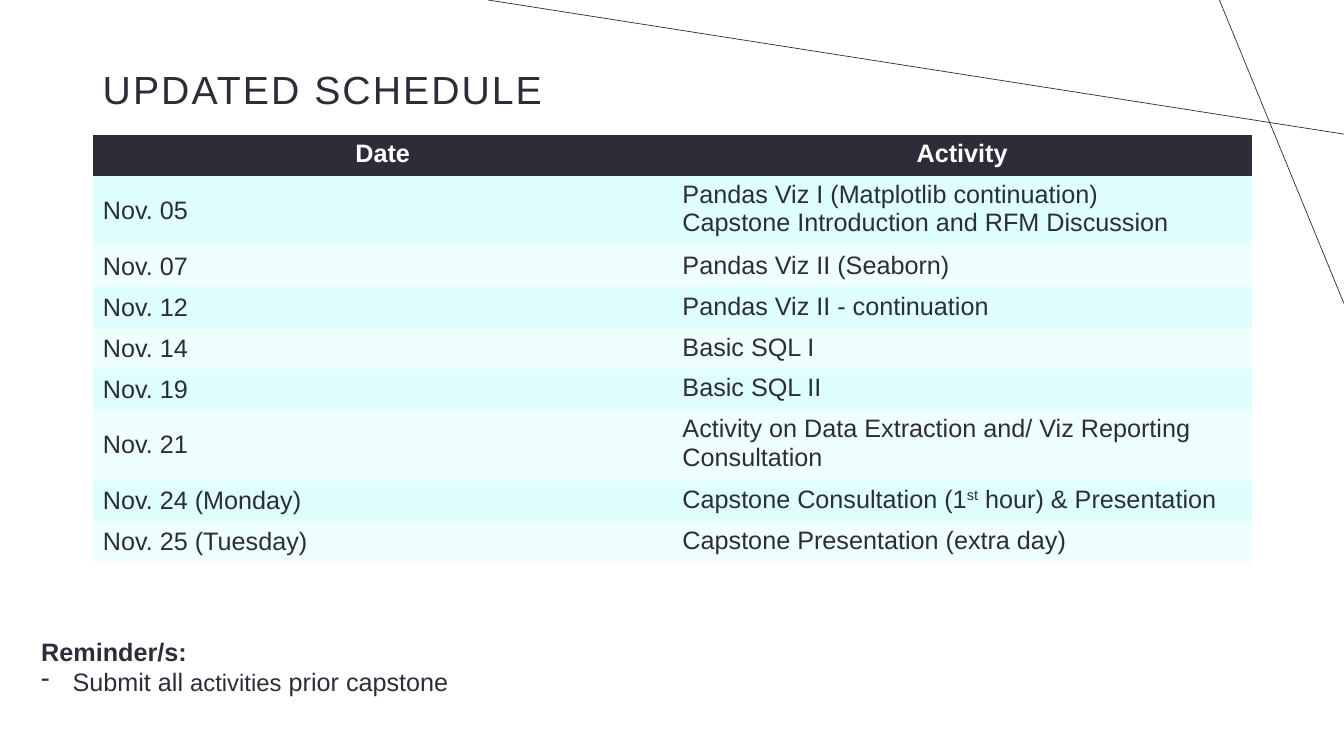
from typing import NamedTuple

import pptx
import pptx.dml.color
import pptx.enum.shapes
import pptx.enum.text
import pptx.oxml.ns
import pptx.oxml.xmlchemy
import pptx.util
from lxml import etree

Cm = pptx.util.Cm
Pt = pptx.util.Pt
qn = pptx.oxml.ns.qn
ALIGN = pptx.enum.text.PP_ALIGN
ANCHOR = pptx.enum.text.MSO_ANCHOR

FONT = "Arial"
COLORS = {
    "ink": "2D2D3A",
    "white": "FFFFFF",
    "band_dark": "DEFFFD",
    "band_light": "EFFFFE",
}
NO_GRID_STYLE = "{2D5ABB26-0587-4C30-8999-92F81FD0307C}"
ROW_HEIGHT = 1.03
EXTRA_LINE_HEIGHT = 0.67


class Span(NamedTuple):
    text: str
    size: float = 18
    bold: bool = False
    color: str = "ink"
    raised: bool = False


class Session(NamedTuple):
    date: str
    activity: list[list[Span]]


class Rule(NamedTuple):
    x1: float
    y1: float
    x2: float
    y2: float


RULES = [Rule(33.87, 3.38, 12.3, 0), Rule(30.73, 0, 33.87, 7.65)]

SCHEDULE = [
    Session("Nov. 05", [[Span("Pandas Viz I (Matplotlib continuation)")],
                        [Span("Capstone Introduction and RFM Discussion")]]),
    Session("Nov. 07", [[Span("Pandas Viz II (Seaborn)")]]),
    Session("Nov. 12", [[Span("Pandas Viz II - continuation")]]),
    Session("Nov. 14", [[Span("Basic SQL I")]]),
    Session("Nov. 19", [[Span("Basic SQL II")]]),
    Session("Nov. 21", [[Span("Activity on Data Extraction and/ Viz Reporting")],
                        [Span("Consultation")]]),
    Session("Nov. 24 (Monday)", [[Span("Capstone Consultation (1"),
                                  Span("st", raised=True),
                                  Span(" hour) & Presentation")]]),
    Session("Nov. 25 (Tuesday)", [[Span("Capstone Presentation (extra day)")]]),
]

REMINDERS = [
    [Span("Reminder/s:", bold=True)],
    [Span("Submit all "), Span("activities", size=17), Span(" prior capstone")],
]


def rgb(name: str) -> pptx.dml.color.RGBColor:
    return pptx.dml.color.RGBColor.from_string(COLORS[name])


def write(tf, lines: list[list[Span]], align=ALIGN.LEFT) -> None:
    """Fill a text frame with one paragraph per line of spans."""
    for i, line in enumerate(lines):
        p = tf.add_paragraph() if i else tf.paragraphs[0]
        p.alignment = align
        for span in line:
            r = p.add_run()
            r.text = span.text
            r.font.name = FONT
            r.font.size = Pt(span.size)
            r.font.bold = span.bold
            r.font.color.rgb = rgb(span.color)
            if span.raised:
                r.font._element.set("baseline", "30000")


def add_rule(s, rule: Rule) -> None:
    line = s.shapes.add_connector(
        pptx.enum.shapes.MSO_CONNECTOR.STRAIGHT, *(Cm(v) for v in rule))
    line.line.color.rgb = rgb("ink")
    line.line.width = Pt(0.5)
    etree.SubElement(line._element.spPr, qn("a:effectLst"))


def add_text(s, left: float, top: float, width: float, height: float,
             lines: list[list[Span]]):
    sp = s.shapes.add_textbox(Cm(left), Cm(top), Cm(width), Cm(height))
    sp.text_frame.word_wrap = True
    write(sp.text_frame, lines)
    return sp.text_frame


def add_title(s) -> None:
    tf = add_text(s, 2.34, 1.47, 29.21, 1.68, [[Span("UPDATED SCHEDULE", size=28)]])
    tf.vertical_anchor = ANCHOR.MIDDLE
    p = tf.paragraphs[0]
    p.line_spacing = 0.9
    p.runs[0].font._element.set("spc", "150")


def fill_cell(cell, color: str, lines: list[list[Span]], align=ALIGN.LEFT) -> None:
    cell.fill.solid()
    cell.fill.fore_color.rgb = rgb(color)
    write(cell.text_frame, lines, align)


def add_schedule(s) -> None:
    rows = len(SCHEDULE) + 1
    frame = s.shapes.add_table(rows, 2, Cm(2.34), Cm(3.4), Cm(29.21), Cm(ROW_HEIGHT * rows))
    table = frame.table
    table.horz_banding = False
    table._tbl.tblPr.find(qn("a:tableStyleId")).text = NO_GRID_STYLE
    table.rows[0].height = Cm(ROW_HEIGHT)
    for col, heading in enumerate(("Date", "Activity")):
        fill_cell(table.cell(0, col), "ink",
                  [[Span(heading, bold=True, color="white")]], ALIGN.CENTER)
    for row, session in enumerate(SCHEDULE, start=1):
        extra_lines = len(session.activity) - 1
        table.rows[row].height = Cm(ROW_HEIGHT + EXTRA_LINE_HEIGHT * extra_lines)
        band = "band_dark" if row % 2 else "band_light"
        fill_cell(table.cell(row, 0), band, [[Span(session.date)]])
        table.cell(row, 0).vertical_anchor = ANCHOR.MIDDLE
        fill_cell(table.cell(row, 1), band, session.activity)


def add_reminders(s) -> None:
    tf = add_text(s, 0.79, 15.9, 21.34, 1.8, REMINDERS)
    pPr = tf.paragraphs[1]._p.get_or_add_pPr()
    pPr.set("marL", str(Cm(0.79)))
    pPr.set("indent", str(-Cm(0.79)))
    etree.SubElement(pPr, qn("a:buChar")).set("char", "-")


def main() -> None:
    prs = pptx.Presentation()
    prs.slide_width = Cm(33.87)
    prs.slide_height = Cm(19.05)
    s = prs.slides.add_slide(prs.slide_layouts[6])
    for rule in RULES:
        add_rule(s, rule)
    add_title(s)
    add_schedule(s)
    add_reminders(s)
    prs.save("out.pptx")


if __name__ == "__main__":
    main()
